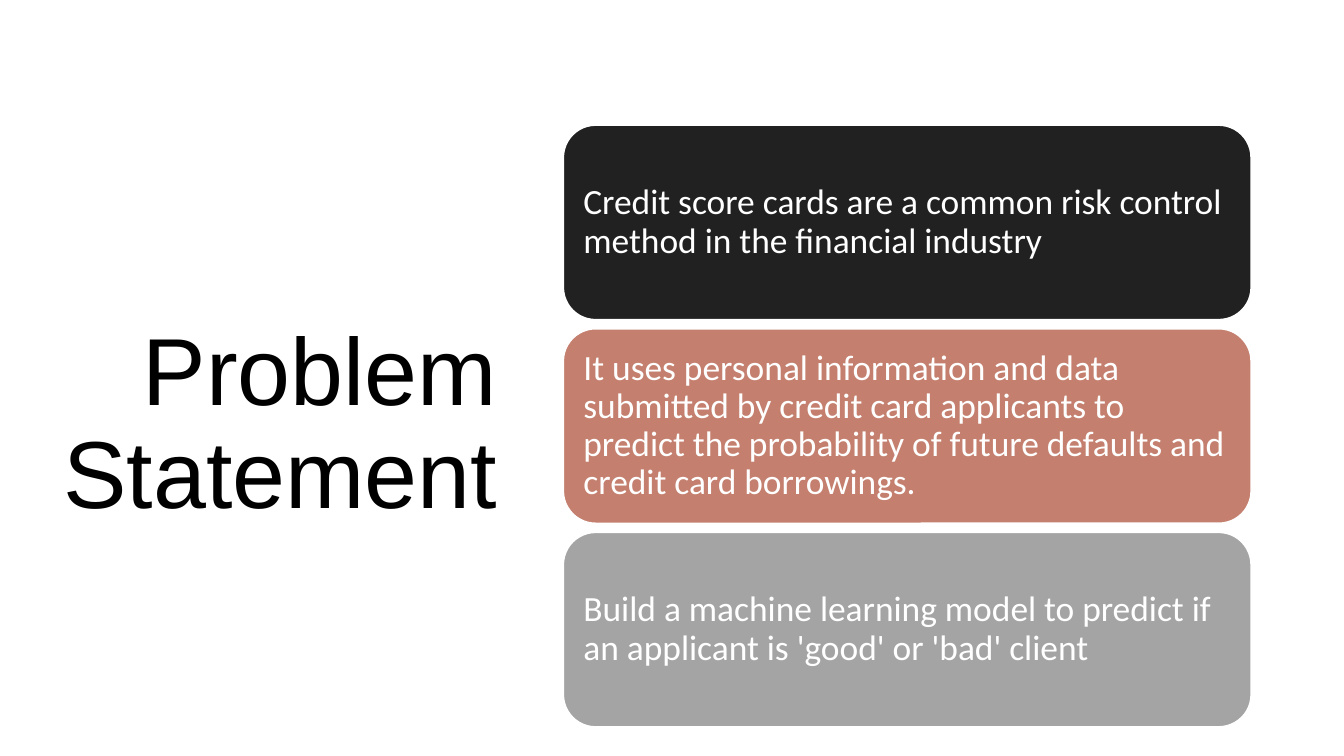
from dataclasses import dataclass

from pptx import Presentation
from pptx.dml.color import RGBColor
from pptx.enum.shapes import MSO_SHAPE
from pptx.enum.text import MSO_ANCHOR, MSO_AUTO_SIZE, PP_ALIGN
from pptx.slide import Slide
from pptx.text.text import TextFrame
from pptx.util import Inches, Pt

ROUNDED = MSO_SHAPE.ROUNDED_RECTANGLE
MIDDLE = MSO_ANCHOR.MIDDLE
NO_AUTOFIT = MSO_AUTO_SIZE.NONE
LEFT, RIGHT = PP_ALIGN.LEFT, PP_ALIGN.RIGHT

BLACK = RGBColor(0x00, 0x00, 0x00)
WHITE = RGBColor(0xFF, 0xFF, 0xFF)
CHARCOAL = RGBColor(0x21, 0x21, 0x21)
TERRACOTTA = RGBColor(0xC4, 0x7F, 0x6E)
GREY = RGBColor(0xA4, 0xA4, 0xA4)

SLIDE_WIDTH = 10
SLIDE_HEIGHT = SLIDE_WIDTH * 9 / 16
CARD_LEFT, FIRST_TOP, LAST_TOP = 4.19, 0.93, 3.96
CARD_WIDTH, CARD_HEIGHT = 5.12, 1.45


@dataclass(frozen=True)
class Card:
    statement: str
    fill: RGBColor


CARDS = [
    Card("Credit score cards are a common risk control method in the financial industry", CHARCOAL),
    Card(
        "It uses personal information and data submitted by credit card applicants "
        "to predict the probability of future defaults and credit card borrowings.",
        TERRACOTTA,
    ),
    Card("Build a machine learning model to predict if an applicant is 'good' or 'bad' client", GREY),
]
CARD_PITCH = (LAST_TOP - FIRST_TOP) / (len(CARDS) - 1)


def write_text(frame: TextFrame, text: str, font: str, size: float, color: RGBColor,
               align: PP_ALIGN, inset_x: float, inset_y: float) -> None:
    frame.text = text
    frame.word_wrap = True
    frame.auto_size = NO_AUTOFIT
    frame.vertical_anchor = MIDDLE
    frame.margin_left = frame.margin_right = Inches(inset_x)
    frame.margin_top = frame.margin_bottom = Inches(inset_y)
    paragraph = frame.paragraphs[0]
    paragraph.alignment = align
    paragraph.line_spacing = 0.9
    run_font = paragraph.runs[0].font
    run_font.name = font
    run_font.size = Pt(size)
    run_font.color.rgb = color


def add_heading(slide: Slide) -> None:
    heading = slide.shapes.title
    heading.left, heading.top = Inches(0.39), Inches(0.88)
    heading.width, heading.height = Inches(3.38), Inches(4.58)
    write_text(heading.text_frame, "Problem Statement", "Arial", 51, BLACK, RIGHT, 0.07, 0.04)


def add_card(slide: Slide, card: Card, top: float) -> None:
    panel = slide.shapes.add_shape(
        ROUNDED, Inches(CARD_LEFT), Inches(top), Inches(CARD_WIDTH), Inches(CARD_HEIGHT)
    )
    panel.shadow.inherit = False
    panel.adjustments[0] = 0.167
    panel.fill.solid()
    panel.fill.fore_color.rgb = card.fill
    panel.line.color.rgb = WHITE
    panel.line.width = Pt(1)
    write_text(panel.text_frame, card.statement, "Calibri", 19, WHITE, LEFT, 0.08, 0.08)


def main() -> None:
    presentation = Presentation()
    presentation.slide_width = Inches(SLIDE_WIDTH)
    presentation.slide_height = Inches(SLIDE_HEIGHT)
    slide = presentation.slides.add_slide(presentation.slide_layouts.get_by_name("Title Only"))
    add_heading(slide)
    for index, card in enumerate(CARDS):
        add_card(slide, card, FIRST_TOP + index * CARD_PITCH)
    presentation.save("out.pptx")


if __name__ == "__main__":
    main()
